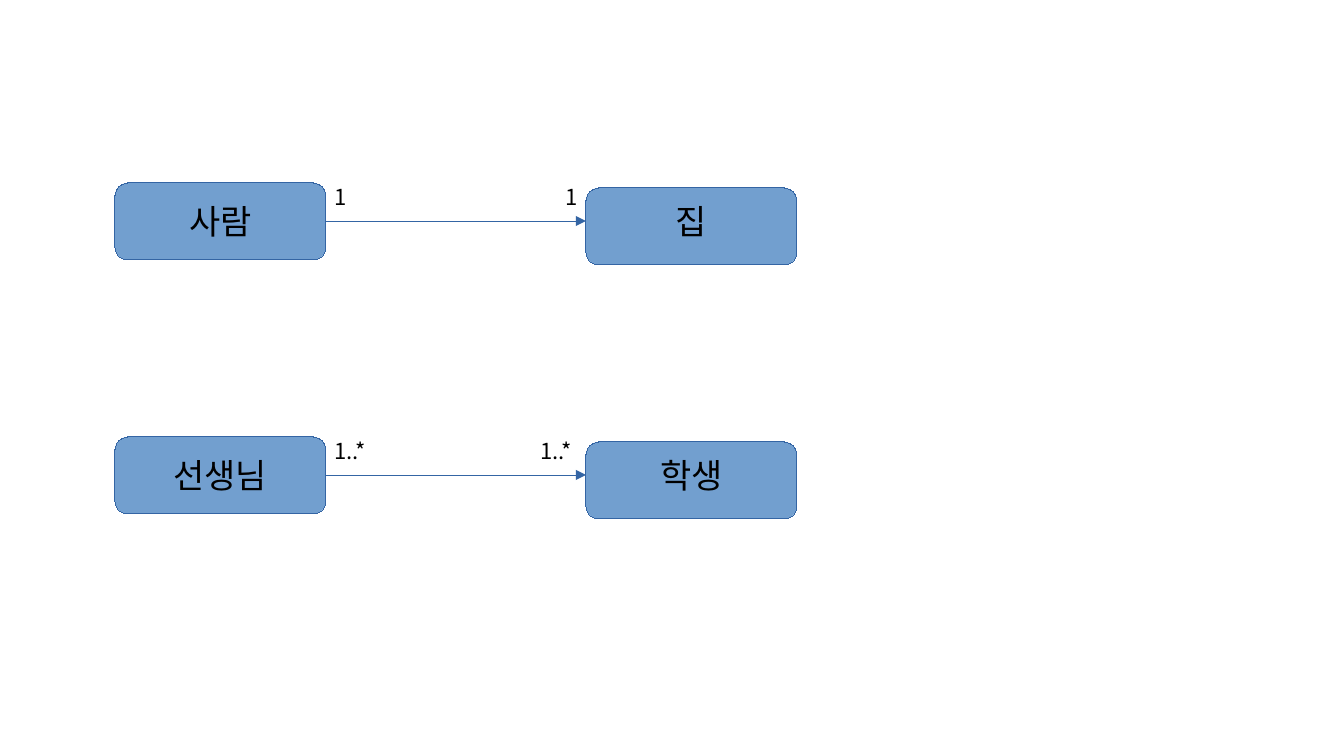
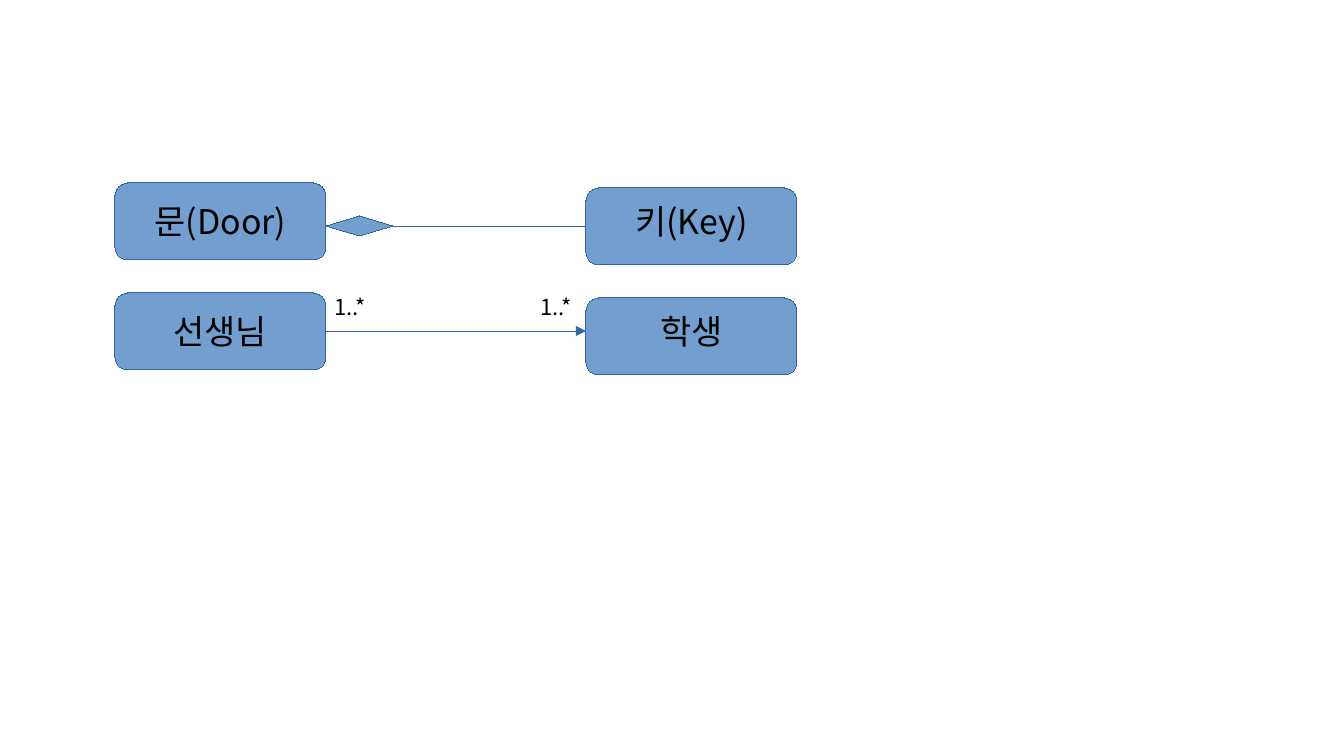
"""Build two slides of class relationship diagrams."""
from lxml.etree import SubElement
from pptx import Presentation
from pptx.dml.color import RGBColor
from pptx.enum.shapes import MSO_CONNECTOR, MSO_SHAPE
from pptx.enum.text import MSO_ANCHOR, PP_ALIGN
from pptx.oxml.ns import qn
from pptx.util import Emu, Pt

TEACHER_STUDENT = {"left": "선생님", "right": "학생", "kind": "association",
                   "multiplicities": [("1..*", 350), ("1..*", 556)]}
PERSON_HOUSE = {"left": "사람", "right": "집", "kind": "association",
                "multiplicities": [("1", 341), ("1", 572)]}
DOOR_KEY = {"left": "문(Door)", "right": "키(Key)", "kind": "composition",
            "multiplicities": []}
SLIDES = [
    [(183, PERSON_HOUSE), (437, TEACHER_STUDENT)],
    [(183, DOOR_KEY), (293, TEACHER_STUDENT)],
]

BOX_FILL = RGBColor(0x72, 0x9F, 0xCF)
LINE_BLUE = RGBColor(0x34, 0x65, 0xA4)
BLACK = RGBColor(0, 0, 0)
FONT = "Noto Sans CJK KR"
NAME_SIZE, MULTIPLICITY_SIZE = 20, 13

SLIDE_WIDTH, SLIDE_HEIGHT = 1344, 756
BOX_WIDTH, BOX_HEIGHT = 211, 77
LEFT_BOX, RIGHT_BOX = 115, 586
LEFT_EDGE = LEFT_BOX + BOX_WIDTH
RIGHT_DROP = 5
LABEL_WIDTH, LABEL_HEIGHT = 134, 38
NAME_OFFSET, MULTIPLICITY_OFFSET = 19, -5
ARROW_OFFSET, COMPOSITION_OFFSET = 38, 43
DIAMOND_WIDTH, DIAMOND_HEIGHT = 67, 20
COMPOSITION_END = 337


def px(length):
    return Emu(round(length * 914400 / 122))


def set_hairline(line):
    line.color.rgb = LINE_BLUE
    outline = line._get_or_add_ln()
    outline.set("w", "0")
    return outline


def add_plain_shape(slide, preset, left, top, width, height):
    shape = slide.shapes.add_shape(preset, px(left), px(top), px(width), px(height))
    shape.shadow.inherit = False
    return shape


def add_filled_shape(slide, preset, left, top, width, height):
    shape = add_plain_shape(slide, preset, left, top, width, height)
    shape.fill.solid()
    shape.fill.fore_color.rgb = BOX_FILL
    set_hairline(shape.line)


def add_label(slide, text, center, top, size):
    label = add_plain_shape(slide, MSO_SHAPE.ROUNDED_RECTANGLE,
                            center - LABEL_WIDTH / 2, top, LABEL_WIDTH, LABEL_HEIGHT)
    label.fill.background()
    label.line.fill.background()
    frame = label.text_frame
    frame.word_wrap = False
    frame.vertical_anchor = MSO_ANCHOR.MIDDLE
    paragraph = frame.paragraphs[0]
    paragraph.alignment = PP_ALIGN.CENTER
    run = paragraph.add_run()
    run.text = text
    run.font.name = FONT
    run.font.size = Pt(size)
    run.font.color.rgb = BLACK
    SubElement(run.font._element, qn("a:ea"), typeface=FONT)


def add_arrow(slide, start, end, y):
    arrow = slide.shapes.add_connector(
        MSO_CONNECTOR.STRAIGHT, px(start), px(y), px(end), px(y))
    SubElement(set_hairline(arrow.line), qn("a:tailEnd"), type="triangle")
    SubElement(arrow._element.spPr, qn("a:effectLst"))


def add_relation(slide, top, relation):
    boxes = [(relation["left"], LEFT_BOX, top),
             (relation["right"], RIGHT_BOX, top + RIGHT_DROP)]
    for name, left, box_top in boxes:
        add_filled_shape(slide, MSO_SHAPE.ROUNDED_RECTANGLE,
                         left, box_top, BOX_WIDTH, BOX_HEIGHT)
        add_label(slide, name, left + BOX_WIDTH / 2, top + NAME_OFFSET, NAME_SIZE)
    if relation["kind"] == "composition":
        y = top + COMPOSITION_OFFSET
        add_arrow(slide, RIGHT_BOX, COMPOSITION_END, y)
        add_filled_shape(slide, MSO_SHAPE.DIAMOND, LEFT_EDGE,
                         y - DIAMOND_HEIGHT / 2, DIAMOND_WIDTH, DIAMOND_HEIGHT)
    else:
        add_arrow(slide, LEFT_EDGE, RIGHT_BOX, top + ARROW_OFFSET)
    for text, center in relation["multiplicities"]:
        add_label(slide, text, center, top + MULTIPLICITY_OFFSET, MULTIPLICITY_SIZE)


def main():
    presentation = Presentation()
    presentation.slide_width = px(SLIDE_WIDTH)
    presentation.slide_height = px(SLIDE_HEIGHT)
    blank_layout = presentation.slide_layouts[6]
    for relations in SLIDES:
        slide = presentation.slides.add_slide(blank_layout)
        for top, relation in relations:
            add_relation(slide, top, relation)
    presentation.save("out.pptx")


if __name__ == "__main__":
    main()
